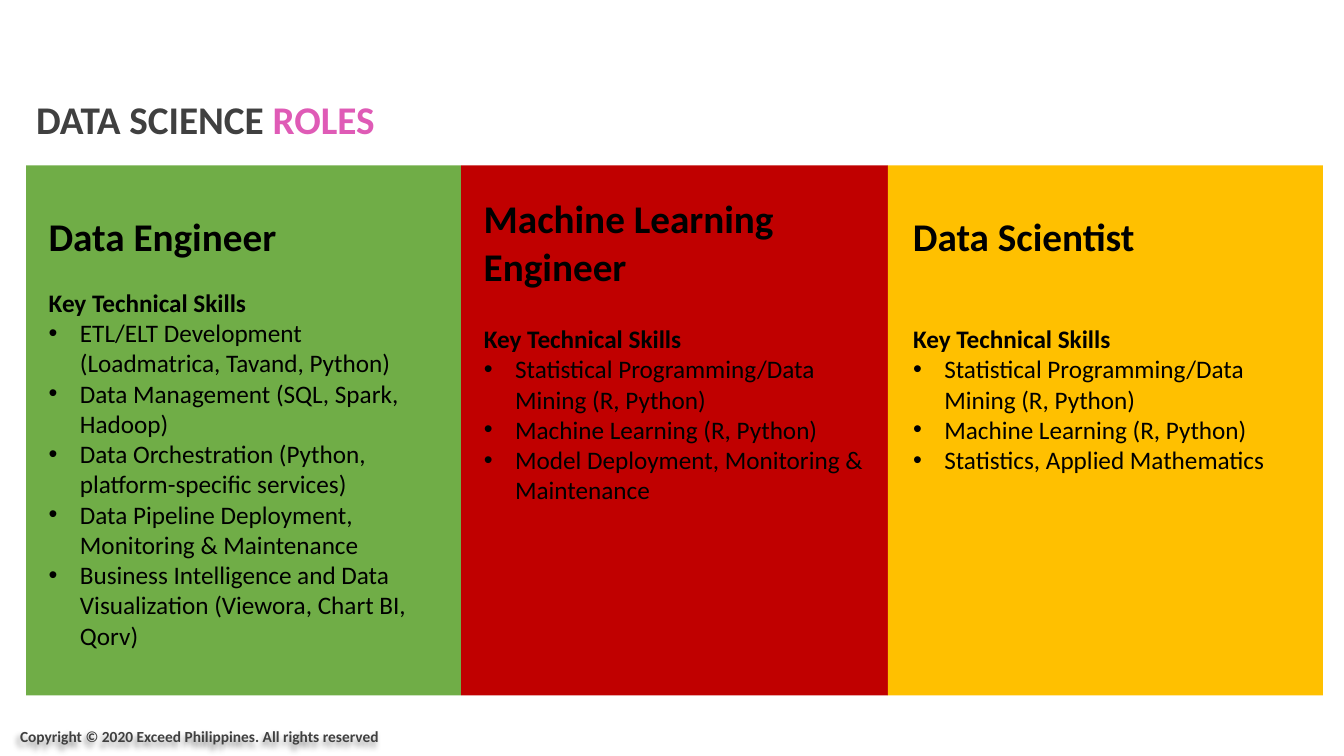
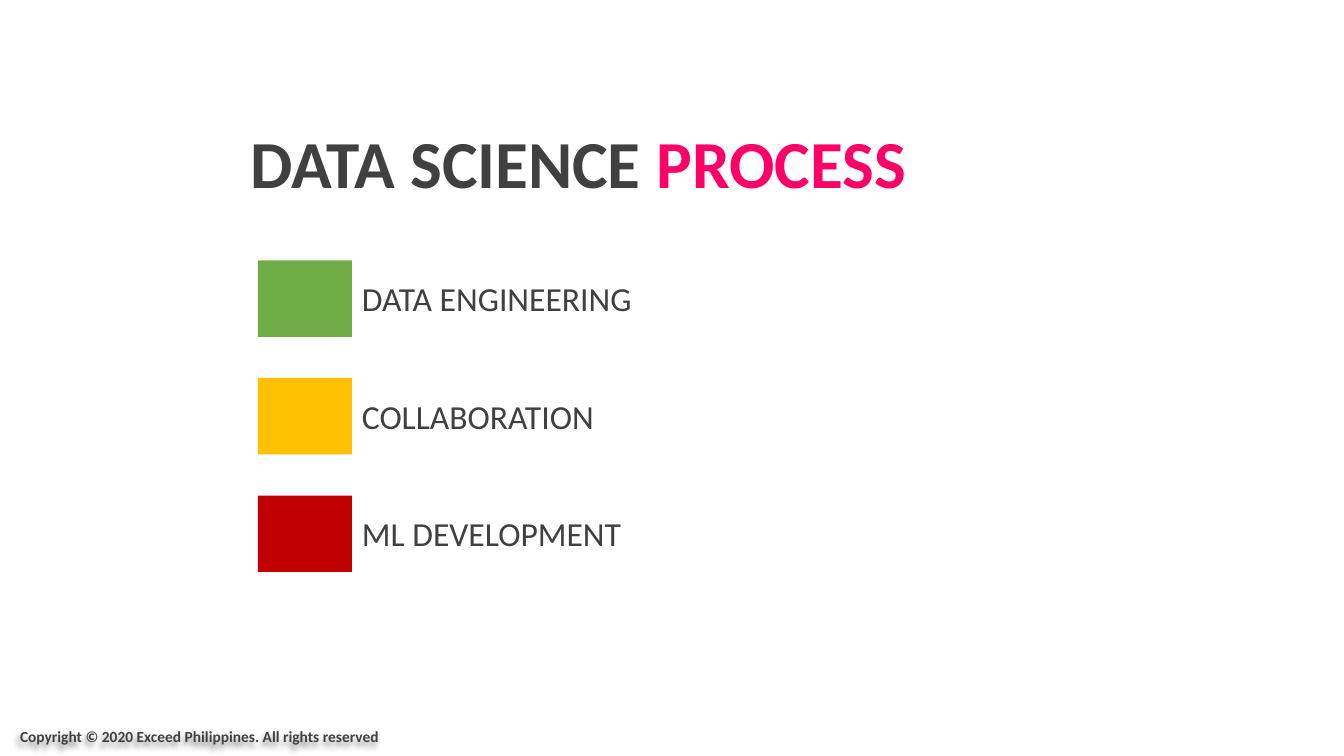
"""Build two slides on data science roles and process."""
import dataclasses
import lxml.etree
import pptx
import pptx.dml.color
import pptx.enum.shapes
import pptx.enum.text
import pptx.oxml.ns
import pptx.util

qn = pptx.oxml.ns.qn
COLS, ROWS = 160, 90


@dataclasses.dataclass(frozen=True)
class Theme:
    """Hold the colours, font and type sizes."""
    green: str = "70AD47"
    red: str = "C00000"
    gold: str = "FFC000"
    black: str = "000000"
    gray: str = "404040"
    pink: str = "DF5BB6"
    rose: str = "FF0066"
    face: str = "Calibri"
    big: int = 48
    head: int = 28
    label: int = 24
    list: int = 18
    foot: int = 11


THEME = Theme()
FOOT = "Copyright © 2020 Exceed Philippines. All rights reserved"
SKILLS = "Key Technical Skills"
MINING = "Statistical Programming/Data Mining (R, Python)"
LEARN = "Machine Learning (R, Python)"
ROLES = [
    ("Data Engineer", THEME.green, 51.8, 1.5, 24.7, 33.6, [
        "ETL/ELT Development (Loadmatrica, Tavand, Python)",
        "Data Management (SQL, Spark, Hadoop)",
        "Data Orchestration (Python, platform-specific services)",
        "Data Pipeline Deployment, Monitoring & Maintenance",
        "Business Intelligence and Data Visualization (Viewora, Chart BI, Qorv)"]),
    ("Machine Learning Engineer", THEME.red, 50.8, 1.5, 22.6, 37.9, [
        MINING, LEARN, "Model Deployment, Monitoring & Maintenance"]),
    ("Data Scientist", THEME.gold, 51.8, 1.8, 24.7, 37.9, [
        MINING, LEARN, "Statistics, Applied Mathematics"]),
]
STEPS = [("DATA ENGINEERING", THEME.green), ("COLLABORATION", THEME.gold),
         ("ML DEVELOPMENT", THEME.red)]


def put(item, **values):
    """Set each named value on an item."""
    for name, value in values.items():
        setattr(item, name, value)


def tint(text):
    """Turn a hex string into a colour."""
    return pptx.dml.color.RGBColor.from_string(text)


class Deck:
    """Draw styled parts on the current slide."""

    def __init__(self, theme):
        """Open a wide deck."""
        self.theme = theme
        self.show = pptx.Presentation()
        put(self.show, slide_width=pptx.util.Inches(13.33),
            slide_height=pptx.util.Inches(7.5))

    def place(self, box):
        """Map columns and rows to slide lengths."""
        wide, high = self.show.slide_width / COLS, self.show.slide_height / ROWS
        return [round(n * unit) for n, unit in zip(box, (wide, high) * 2)]

    def page(self, layout, lists=0):
        """Start a slide with a title and some list bodies."""
        self.slide = self.show.slides.add_slide(self.show.slide_layouts[layout])
        bodies = list(self.slide.placeholders)[1:]
        for spare in bodies[lists:]:
            spare.element.getparent().remove(spare.element)
        self.bodies = bodies[:lists]

    def fit(self, shape, box):
        """Move a text shape to the front and set its frame."""
        left, top, width, height = self.place(box)
        put(shape, left=left, top=top, width=width, height=height)
        shape.element.getparent().append(shape.element)
        put(shape.text_frame, word_wrap=True,
            auto_size=pptx.enum.text.MSO_AUTO_SIZE.NONE,
            vertical_anchor=pptx.enum.text.MSO_ANCHOR.TOP)
        return shape.text_frame

    def line(self, para, runs, size, bold=False, mark=False):
        """Write coloured runs as one paragraph."""
        props = para._p.get_or_add_pPr()
        indent = pptx.util.Inches(0.31) if mark else 0
        props.set("marL", str(indent))
        props.set("indent", str(-indent))
        if mark:
            lxml.etree.SubElement(props, qn("a:buFont"), typeface="Arial")
            lxml.etree.SubElement(props, qn("a:buChar"), char="•")
        else:
            lxml.etree.SubElement(props, qn("a:buNone"))
        put(para, alignment=pptx.enum.text.PP_ALIGN.LEFT, line_spacing=1.0,
            space_before=pptx.util.Pt(0), space_after=pptx.util.Pt(0))
        for text, color in runs:
            run = para.add_run()
            run.text = text
            put(run.font, name=self.theme.face, size=pptx.util.Pt(size), bold=bold)
            run.font.color.rgb = tint(color)

    def title(self, word, color, size, box):
        """Write the title with its last word in colour."""
        frame = self.fit(self.slide.shapes.title, box)
        runs = [("DATA SCIENCE ", self.theme.gray), (word, color)]
        self.line(frame.paragraphs[0], runs, size, True)

    def text(self, words, color, size, box, bold=False):
        """Add a line of text in a box."""
        shape = self.slide.shapes.add_textbox(*self.place(box))
        frame = self.fit(shape, box)
        self.line(frame.paragraphs[0], [(words, color)], size, bold)
        return shape

    def block(self, color, box):
        """Add a plain filled block."""
        kind = pptx.enum.shapes.MSO_SHAPE.RECTANGLE
        shape = self.slide.shapes.add_shape(kind, *self.place(box))
        shape.shadow.inherit = False
        shape.fill.solid()
        shape.fill.fore_color.rgb = tint(color)
        shape.line.fill.background()

    def list(self, head, items, box):
        """Fill the next body with a bold head and bullets."""
        frame = self.fit(self.bodies.pop(0), box)
        ink, size = self.theme.black, self.theme.list
        self.line(frame.paragraphs[0], [(head, ink)], size, True)
        for item in items:
            self.line(frame.add_paragraph(), [(item, ink)], size, mark=True)

    def foot(self):
        """Add the footer with its soft shadow."""
        shape = self.text(FOOT, self.theme.gray, self.theme.foot,
                          (1.2, 86, 99.6, 3.5), True)
        effect = lxml.etree.SubElement(shape.element.spPr, qn("a:effectLst"))
        shade = lxml.etree.SubElement(
            effect, qn("a:outerShdw"), blurRad="50800", dist="38100",
            dir="8100000", algn="tr", rotWithShape="0")
        color = lxml.etree.SubElement(shade, qn("a:srgbClr"), val=self.theme.black)
        lxml.etree.SubElement(color, qn("a:alpha"), val="40000")


def roles(deck):
    """Draw the three role panels."""
    deck.page(4, len(ROLES))
    left = 3.1
    for name, color, width, pad, top, start, items in ROLES:
        deck.block(color, (left, 19.7, width, 63.1))
        deck.text(name, THEME.black, THEME.head,
                  (left + pad, top, 48.8, 31.5 - top), True)
        deck.list(SKILLS, items, (left + pad, start, 48.1, 80 - start))
        left += width
    deck.title("ROLES", THEME.pink, THEME.head, (3.1, 10.8, 54.2, 6.8))
    deck.foot()


def process(deck):
    """Draw the colour key of the process."""
    deck.page(5)
    for row, (name, color) in enumerate(STEPS):
        top = 31 + 14 * row
        deck.block(color, (30.7, top, 11.2, 9.1))
        deck.text(name, THEME.gray, THEME.label, (41.9, top + 1.5, 66, 6))
    deck.title("PROCESS", THEME.rose, THEME.big, (28.6, 13.9, 102.8, 10.9))
    deck.foot()


def main():
    """Build and save the deck."""
    deck = Deck(THEME)
    roles(deck)
    process(deck)
    deck.show.save("out.pptx")


if __name__ == "__main__":
    main()
